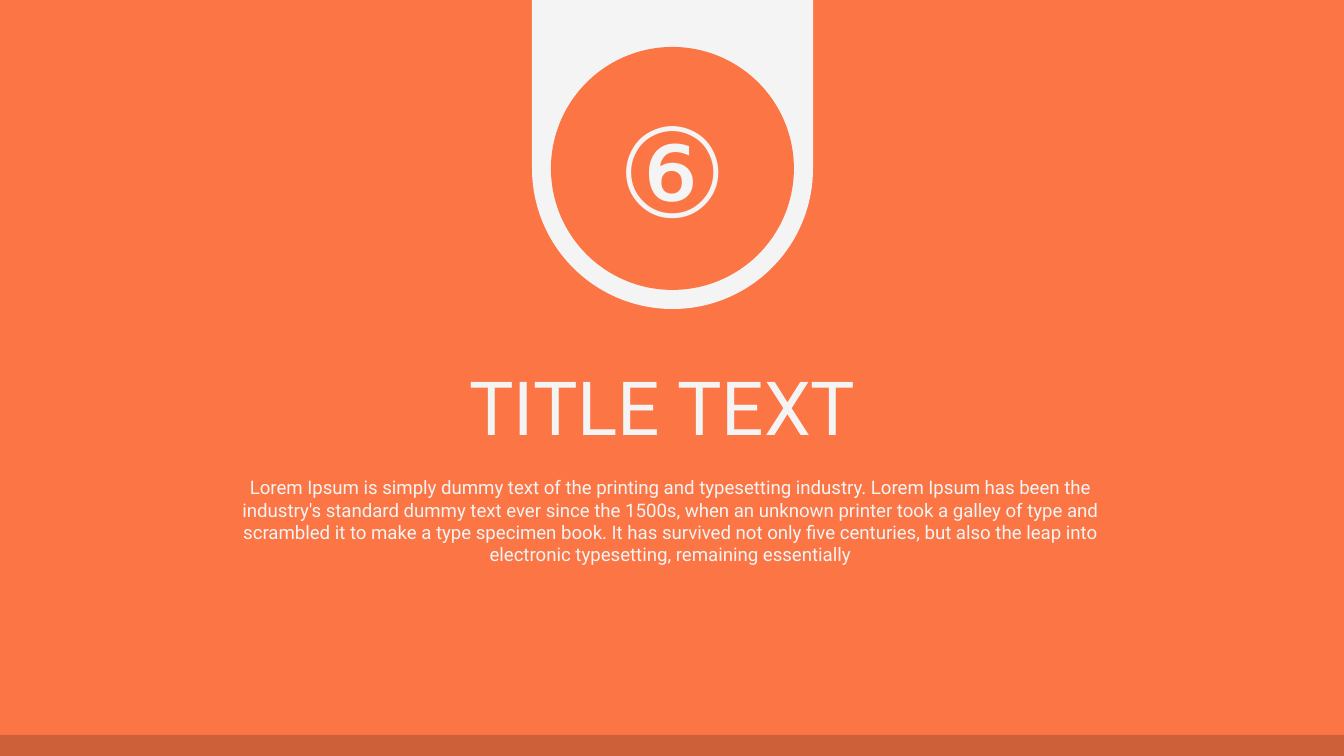
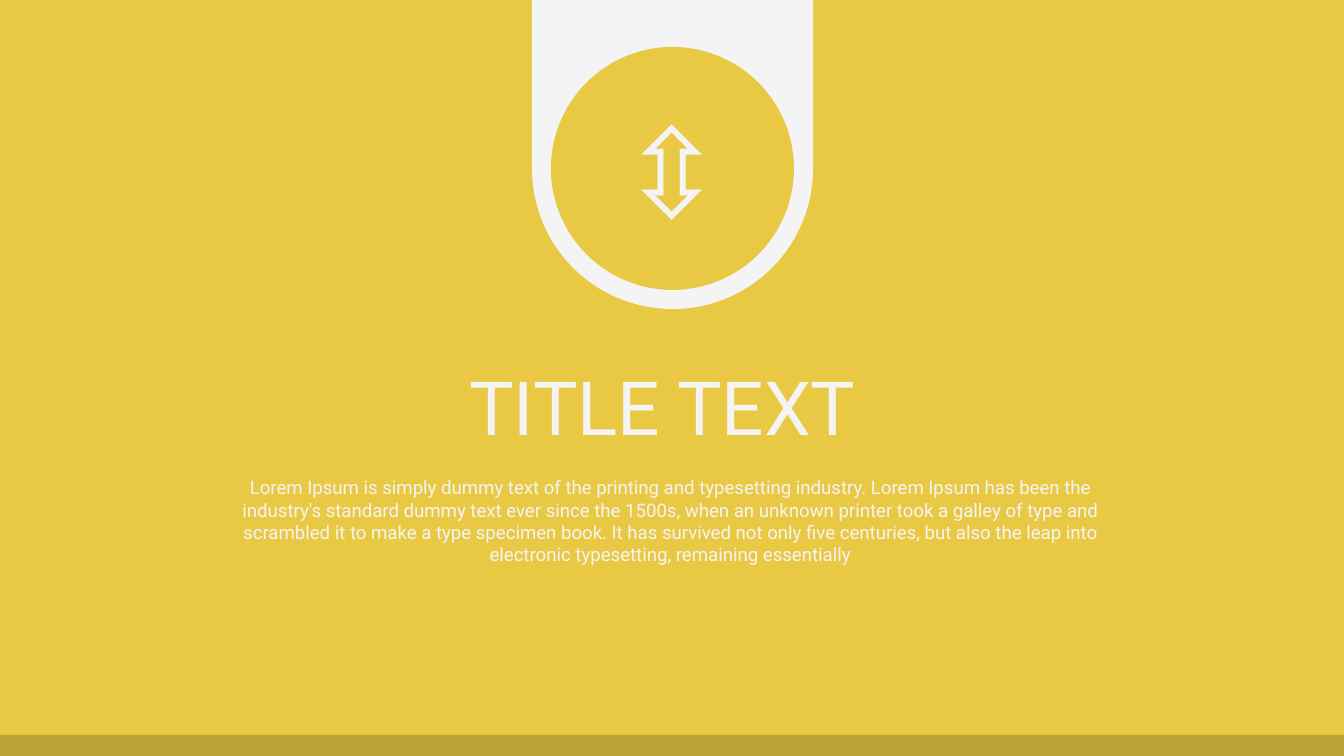
from dataclasses import dataclass
from lxml import etree
from pptx import Presentation
from pptx import util as u
from pptx.dml.color import RGBColor
from pptx.enum import shapes, text
from pptx.oxml.ns import qn

PX = 914400 / 134.4  # EMU in one px
WIDE, HIGH = 1344, 756


@dataclass
class Theme:
    pale: str = "F4F4F4"
    dark: str = "070707"
    shade: int = 19  # band opacity, percent
    font: str = "Roboto"
    sign: str = "Arial"
    head: int = 40
    body: int = 10
    icon: int = 66


look = Theme()
LOREM = (
    "Lorem Ipsum is simply dummy text of the printing and typesetting industry. "
    "Lorem Ipsum has been the industry's standard dummy text ever since the 1500s, "
    "when an unknown printer took a galley of type and scrambled it to make a type "
    "specimen book. It has survived not only five centuries, but also the leap into "
    "electronic typesetting, remaining essentially"
)
pages = [("FB7545", "⑥"), ("E9C944", "⇳")]


def write(box, words, size, font=look.font, anchor=text.MSO_ANCHOR.TOP,
          pad=(13, 7), lead=1.0):
    frame = box.text_frame
    frame.word_wrap = True
    frame.auto_size = text.MSO_AUTO_SIZE.NONE
    frame.vertical_anchor = anchor
    frame.margin_left = frame.margin_right = u.Emu(round(pad[0] * PX))
    frame.margin_top = frame.margin_bottom = u.Emu(round(pad[1] * PX))
    para = frame.paragraphs[0]
    para.alignment = text.PP_ALIGN.CENTER
    para.line_spacing = lead
    run = para.add_run()
    run.text = words
    run.font.name = font
    run.font.size = u.Pt(size)
    run.font.color.rgb = RGBColor.from_string(look.pale)


def draw(slide, kind, area, color):
    shape = slide.shapes.add_shape(kind, *[u.Emu(round(n * PX)) for n in area])
    shape.shadow.inherit = False
    shape.fill.solid()
    shape.fill.fore_color.rgb = RGBColor.from_string(color)
    shape.line.fill.background()
    return shape


deck = Presentation()
deck.slide_width = u.Emu(round(WIDE * PX))
deck.slide_height = u.Emu(round(HIGH * PX))
kinds = shapes.MSO_SHAPE

for color, mark in pages:
    slide = deck.slides.add_slide(deck.slide_layouts[5])
    back = slide.background.fill
    back.solid()
    back.fore_color.rgb = RGBColor.from_string(look.pale)

    # Coloured ground, with the title brought in front of it
    ground = draw(slide, kinds.RECTANGLE, (0, 0, WIDE, HIGH), color)
    title = slide.shapes.title
    ground._element.addnext(title._element)
    title.left, title.top, title.width, title.height = [
        u.Emu(round(n * PX)) for n in (204, 352, 917, 106)]
    write(title, "TITLE TEXT", look.head, anchor=text.MSO_ANCHOR.BOTTOM)

    # Paragraph under the title
    area = [u.Emu(round(n * PX)) for n in (222, 469, 896, 103)]
    write(slide.shapes.add_textbox(*area), LOREM, look.body)

    # Hanging tab with its disc and sign
    tab = draw(slide, kinds.ROUND_2_SAME_RECTANGLE, (532, 0, 281, 309), look.pale)
    tab.rotation = 180
    tab.adjustments[0] = 0.5
    tab.adjustments[1] = 0
    draw(slide, kinds.OVAL, (551, 47, 243, 243), color)
    area = [u.Emu(round(n * PX)) for n in (551, 58, 243, 190)]
    write(slide.shapes.add_textbox(*area), mark, look.icon, font=look.sign,
          anchor=text.MSO_ANCHOR.MIDDLE, pad=(8, 8), lead=1.2)

    # Translucent band along the foot
    band = draw(slide, kinds.RECTANGLE, (0, 735, WIDE, 21), look.dark)
    tint = band._element.spPr.find(qn("a:solidFill"))[0]
    etree.SubElement(tint, qn("a:alpha")).set("val", str(look.shade * 1000))

deck.save("out.pptx")
